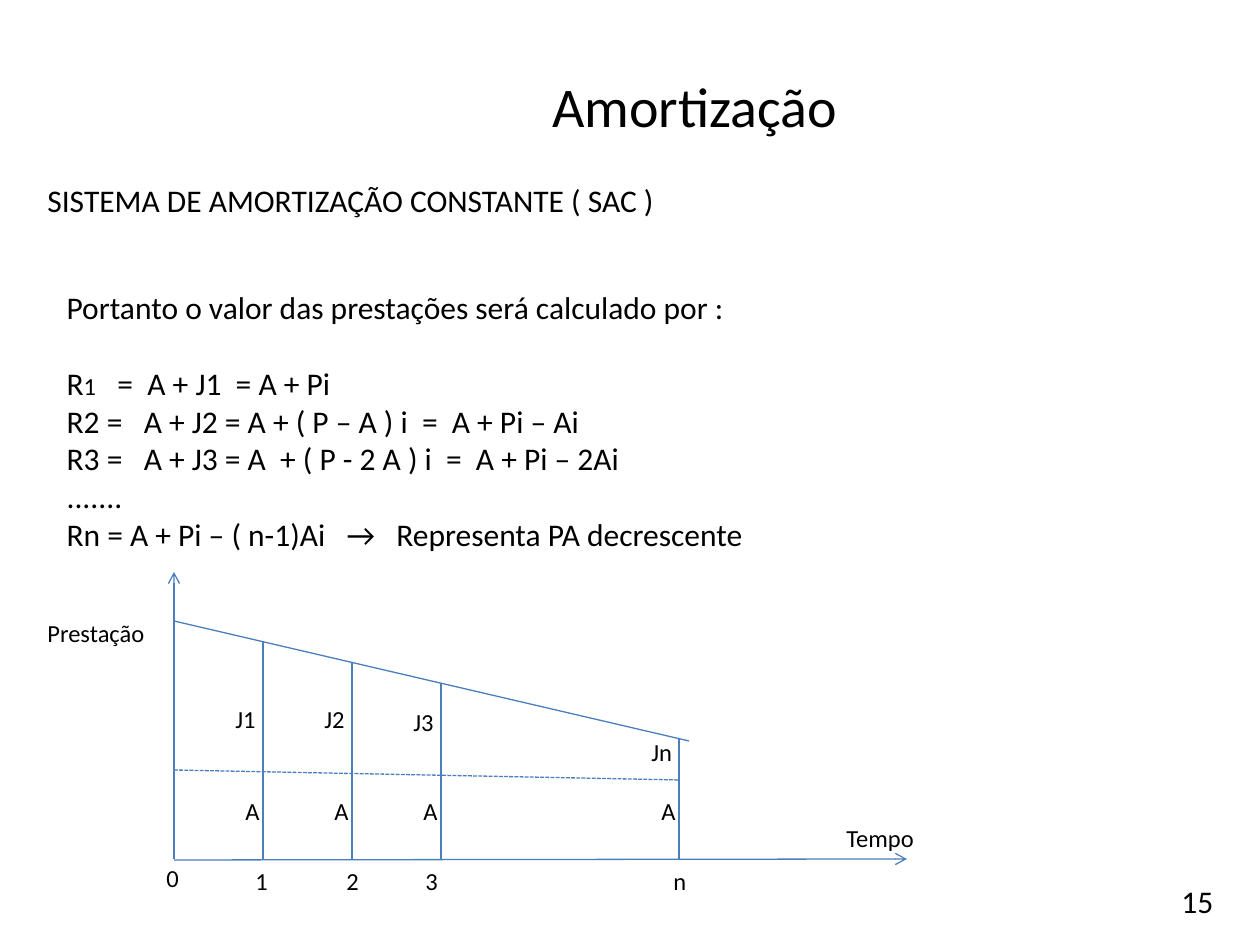
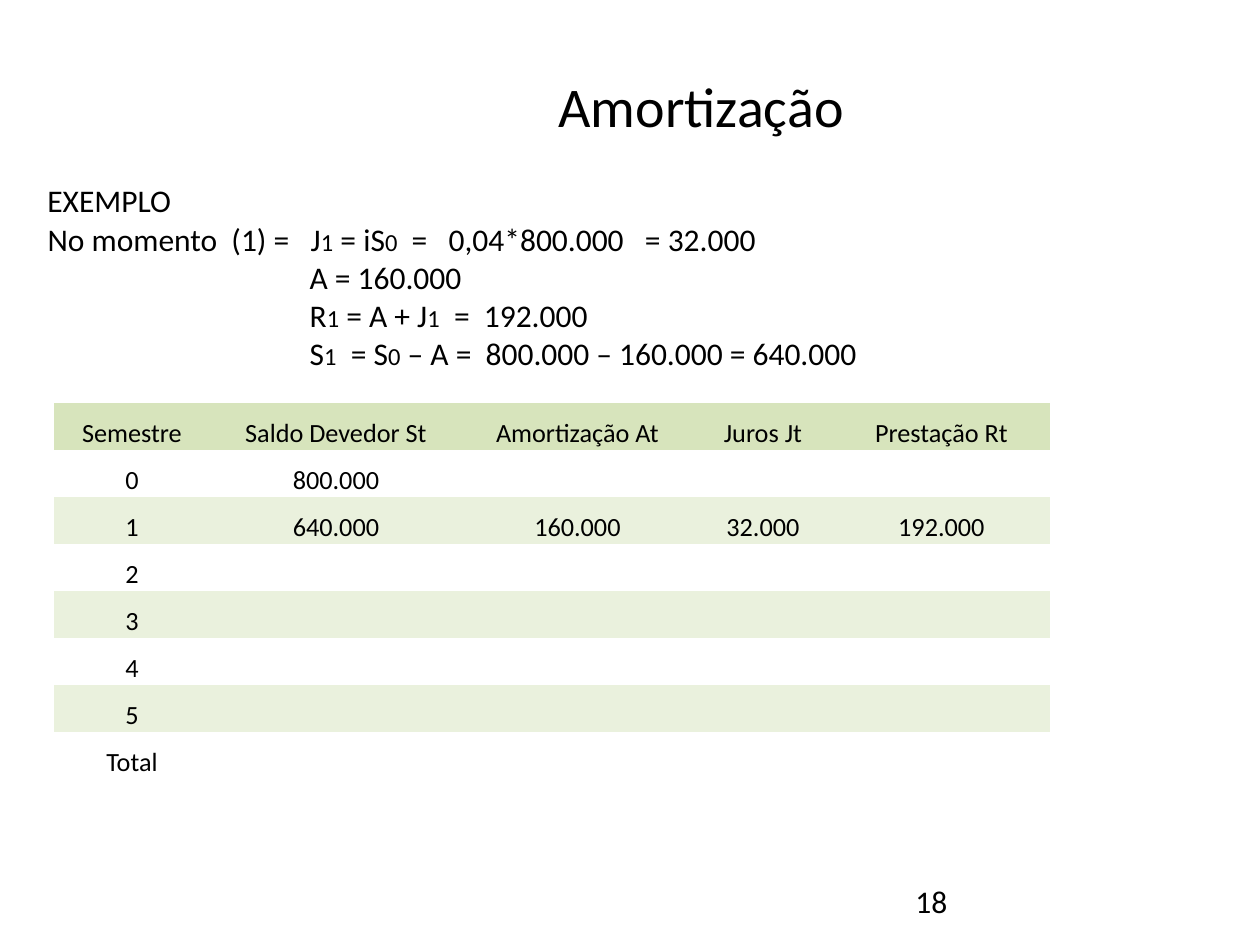
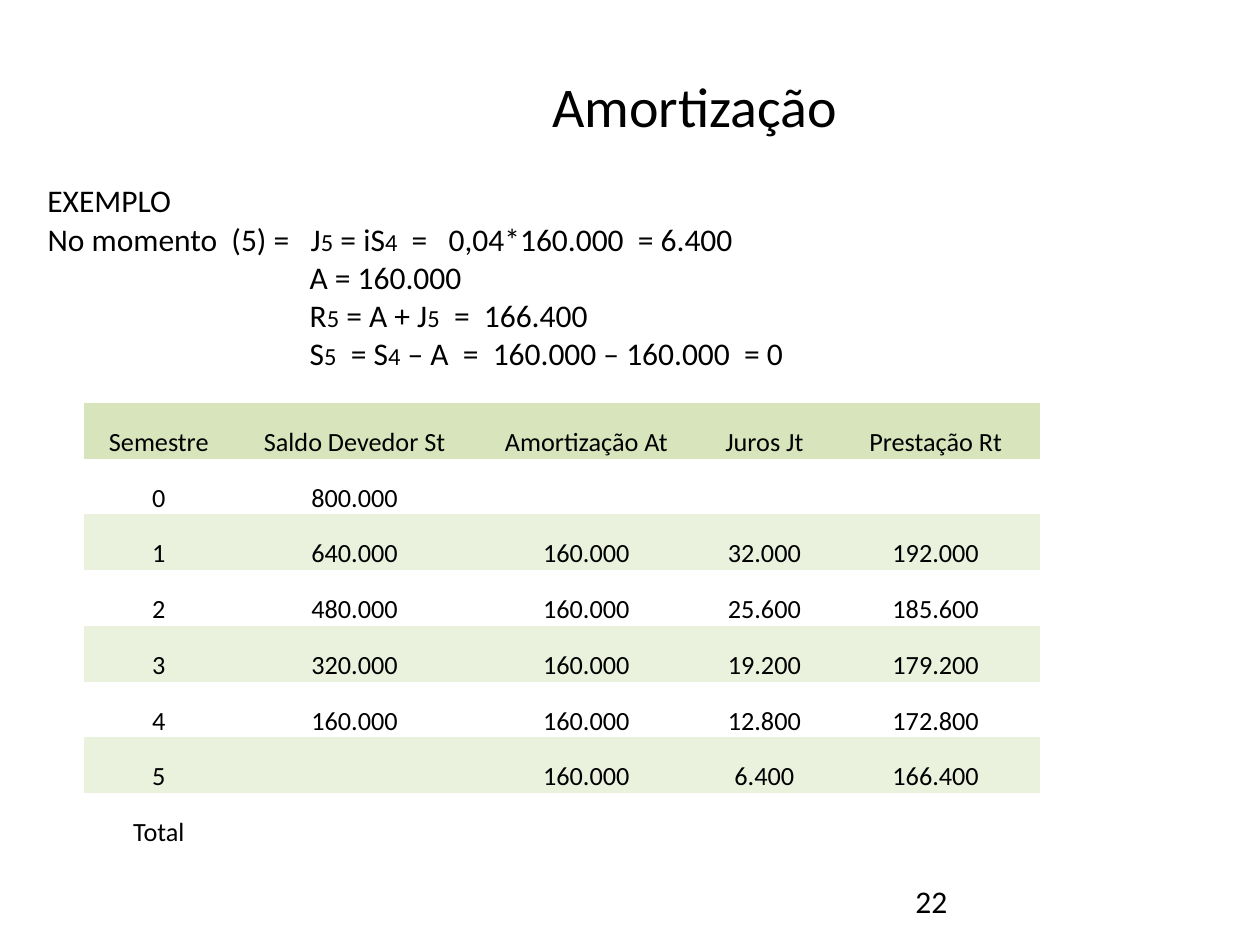
import pptx
import pptx.dml.color
import pptx.enum.dml
import pptx.enum.shapes
import pptx.enum.text
import pptx.oxml.ns
import pptx.util

qn = pptx.oxml.ns.qn
Anchor = pptx.enum.text.MSO_ANCHOR
Align = pptx.enum.text.PP_ALIGN
Fit = pptx.enum.text.MSO_AUTO_SIZE

SCALE = 914400 / 126
FONT = "Calibri"
BLACK = pptx.dml.color.RGBColor(0x00, 0x00, 0x00)
BLUE = pptx.dml.color.RGBColor(0x4B, 0x7E, 0xBC)
GREEN = pptx.dml.color.RGBColor(0xD7, 0xE4, 0xBC)
PALE = pptx.dml.color.RGBColor(0xEA, 0xF1, 0xDD)
PLAIN = "{2D5ABB26-0587-4C30-8999-92F81FD0307C}"

SHARES = (156, 252, 231, 140, 217)
HEADS = ("Semestre", "Saldo Devedor St", "Amortização At", "Juros Jt",
         "Prestação Rt")
PLAN = (
    ("0", "800.000", "", "", ""),
    ("1", "640.000", "160.000", "32.000", "192.000"),
    ("2", "480.000", "160.000", "25.600", "185.600"),
    ("3", "320.000", "160.000", "19.200", "179.200"),
    ("4", "160.000", "160.000", "12.800", "172.800"),
    ("5", "", "160.000", "6.400", "166.400"),
    ("Total", "", "", "", ""),
)


def px(count):
    return pptx.util.Emu(round(count * SCALE))


def place(shape, box):
    shape.left, shape.top, shape.width, shape.height = map(px, box)


def style(para, size):
    para.font.name = FONT
    para.font.size = pptx.util.Pt(size)
    para.font.color.rgb = BLACK


def label(shapes, box, text, size=18, wrap=True):
    area = shapes.add_textbox(*map(px, box))
    frame = area.text_frame
    frame.word_wrap = wrap
    frame.auto_size = Fit.NONE
    frame.text = text
    style(frame.paragraphs[0], size)


def write(para, text):
    """Fill a paragraph; the character after each "_" is set smaller."""
    style(para, 18)
    head, *tails = text.split("_")
    para.add_run().text = head
    for tail in tails:
        small = para.add_run()
        small.text = tail[0]
        small.font.size = pptx.util.Pt(14)
        if tail[1:]:
            para.add_run().text = tail[1:]


def body(slide, box, lines, indent=0, gap=0):
    """Fill the body; indent moves all lines but the first, gap parts it."""
    holder = slide.placeholders[1]
    place(holder, box)
    frame = holder.text_frame
    frame.auto_size = Fit.NONE
    for row, line in enumerate(lines):
        para = frame.add_paragraph() if row else frame.paragraphs[0]
        write(para, line)
        para.space_before = pptx.util.Pt(gap if row == 1 else 0)
        props = para._p.get_or_add_pPr()
        props.set("marL", str(px(indent if row else 0)))
        props.set("indent", "0")
        bullet = props.makeelement(qn("a:buNone"), {})
        props.find(qn("a:defRPr")).addprevious(bullet)


def start(deck, title, topic, number, left):
    """Add a slide with its title, topic line and page number."""
    slide = deck.slides.add_slide(deck.slide_layouts[1])
    head = slide.shapes.title
    place(head, (115, 65, 1160, 110))
    frame = head.text_frame
    frame.auto_size = Fit.NONE
    frame.vertical_anchor = Anchor.TOP
    frame.text = title
    para = frame.paragraphs[0]
    para.alignment = Align.CENTER
    style(para, 32)
    label(slide.shapes, (35, 175, 1211, 89), topic)
    label(slide.shapes, (left, 876, 294, 50), number)
    return slide


def stroke(shapes, start, end, arrow=False, dash=False):
    line = shapes.add_connector(pptx.enum.shapes.MSO_CONNECTOR.STRAIGHT,
                                *map(px, start + end))
    line.line.color.rgb = BLUE
    line.line.width = pptx.util.Pt(0.75)
    if dash:
        line.line.dash_style = pptx.enum.dml.MSO_LINE.SQUARE_DOT
    props = line._element.spPr
    if arrow:
        edge = line.line._get_or_add_ln()
        edge.append(edge.makeelement(qn("a:tailEnd"), {"type": "arrow"}))
    props.append(props.makeelement(qn("a:effectLst"), {}))


def graph(slide, left, top):
    """Draw falling instalments, split into interest J and constant A."""
    shapes = slide.shapes.add_group_shape().shapes
    zero, step, last = left + 139, 89, left + 644
    base, peak = top + 287, top + 49

    def slope(x):
        return peak + (x - zero) * 120 / 515

    stroke(shapes, (zero, base), (zero, top), arrow=True)
    stroke(shapes, (zero, base + 1), (left + 872, base), arrow=True)
    stroke(shapes, (zero, peak), (zero + 515, peak + 120))
    stroke(shapes, (zero, top + 198), (last, top + 208), dash=True)
    bars = [(str(k), zero + k * step) for k in (1, 2, 3)] + [("n", last)]
    drops = (126, 126, 129, 159)
    shifts = (20, 18, 28, 18)
    for (name, x), drop, shift in zip(bars, drops, shifts):
        stroke(shapes, (x, slope(x)), (x, base))
        for text, side, down, width in (("A", 30, 218, 42),
                                        ("J" + name, 40, drop, 52),
                                        (name, shift, 288, 42)):
            label(shapes, (x - side, top + down, width, 43), text, 14, False)
    label(shapes, (zero - 20, base - 2, 42, 43), "0", 14, False)
    label(shapes, (left, top + 40, 128, 43), "Prestação", 14, False)
    label(shapes, (left + 799, top + 245, 98, 43), "Tempo", 14, False)


def table(slide, box, rows):
    left, top, width, height = box
    grid = slide.shapes.add_table(len(rows), len(HEADS), *map(px, box)).table
    grid._tbl.tblPr.find(qn("a:tableStyleId")).text = PLAIN
    grid.horz_banding = grid.first_row = False
    for col, share in zip(grid.columns, SHARES):
        col.width = px(width * share / sum(SHARES))
    for index, row in enumerate(rows):
        grid.rows[index].height = px(height / len(rows))
        for cell, text in zip(grid.rows[index].cells, row):
            cell.margin_left = cell.margin_right = cell.margin_top = px(1)
            cell.margin_bottom = 0
            cell.vertical_anchor = Anchor.BOTTOM
            cell.text = text
            para = cell.text_frame.paragraphs[0]
            para.alignment = Align.CENTER
            style(para, 15)
            if index % 2:
                cell.fill.background()
            else:
                cell.fill.solid()
                cell.fill.fore_color.rgb = PALE if index else GREEN


def theory(deck):
    slide = start(deck, "Amortização",
                  "SISTEMA DE AMORTIZAÇÃO CONSTANTE ( SAC )", "15", 1169)
    body(slide, (54, 282, 1101, 279), (
        "Portanto o valor das prestações será calculado por :",
        "R_1   =  A + J1  = A + Pi",
        "R2 =   A + J2 = A + ( P – A ) i  =  A + Pi – Ai",
        "R3 =   A + J3 = A  + ( P - 2 A ) i  =  A + Pi – 2Ai",
        ".......",
        "Rn = A + Pi – ( n-1)Ai   →   Representa PA decrescente",
    ), gap=21.5)
    graph(slide, 35, 572)


def sample(deck, title, number, lines, box, known):
    """Add a worked example whose table is filled up to the known term."""
    slide = start(deck, title, "EXEMPLO", number, 903)
    body(slide, (35, 214, 1211, 204), lines, indent=262)
    rows = [row if term <= known else (row[0], "", "", "", "")
            for term, row in enumerate(PLAN)]
    table(slide, box, [HEADS] + rows)


def main():
    deck = pptx.Presentation()
    deck.slide_width, deck.slide_height = px(1260), px(945)
    theory(deck)
    sample(deck, " Amortização", "18", (
        "No momento  (1) =   J_1 = iS_0  =   0,04*800.000   = 32.000",
        "A = 160.000",
        "R_1 = A + J_1  =  192.000",
        "S_1  = S_0 – A =  800.000 – 160.000 = 640.000",
    ), (54, 403, 996, 376), 1)
    sample(deck, "Amortização", "22", (
        "No momento  (5) =   J_5 = iS_4  =   0,04*160.000  = 6.400",
        "A = 160.000",
        "R_5 = A + J_5  =  166.400",
        "S_5  = S_4 – A  =  160.000 – 160.000  = 0",
    ), (84, 403, 956, 446), 5)
    deck.save("out.pptx")


if __name__ == "__main__":
    main()
